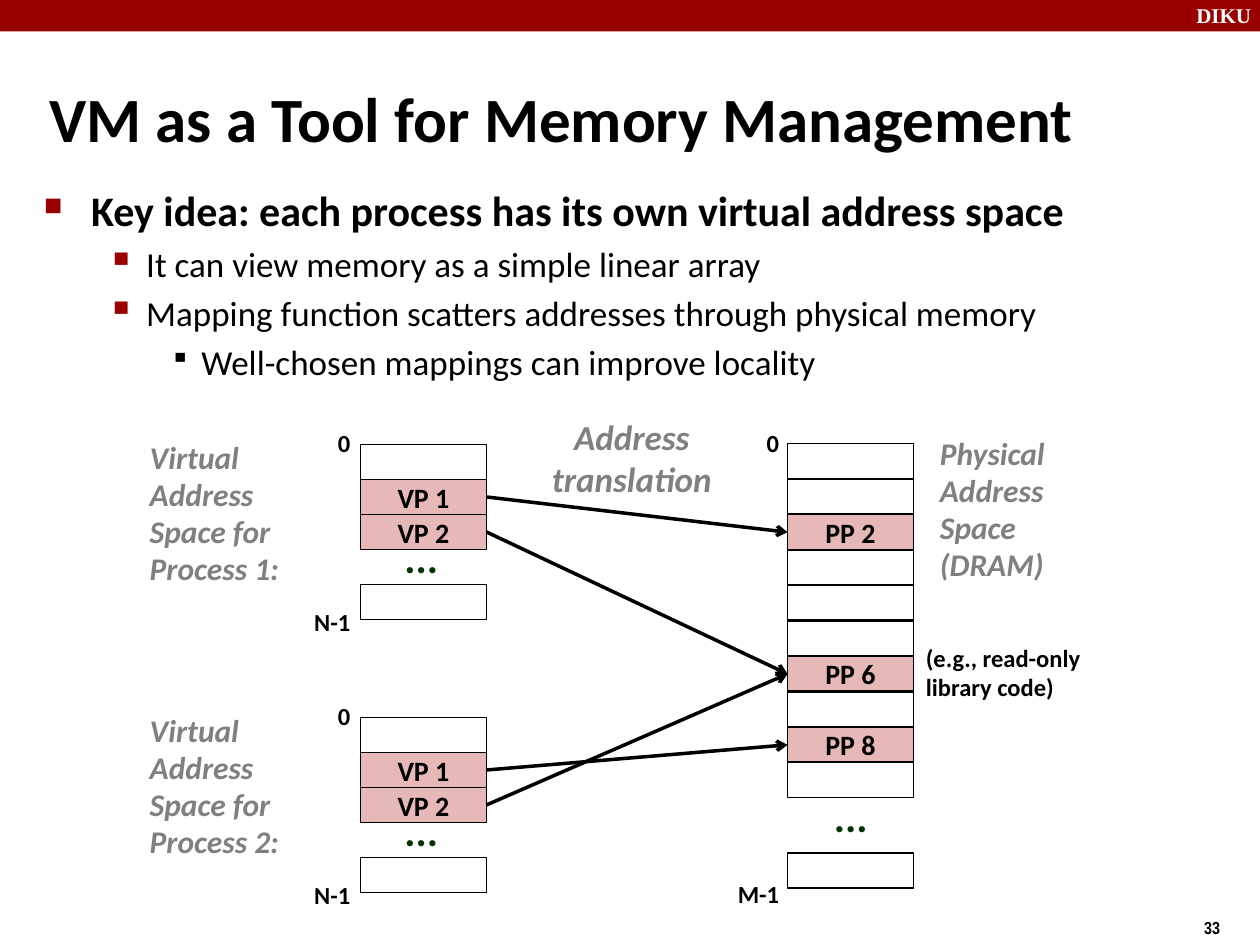
from lxml import etree
from pptx import Presentation
from pptx.dml.color import RGBColor
from pptx.enum.shapes import MSO_CONNECTOR, MSO_SHAPE
from pptx.enum.text import MSO_ANCHOR, MSO_AUTO_SIZE, PP_ALIGN
from pptx.oxml.ns import qn
from pptx.util import Pt

RECTANGLE = MSO_SHAPE.RECTANGLE
STRAIGHT = MSO_CONNECTOR.STRAIGHT
TOP, MIDDLE = MSO_ANCHOR.TOP, MSO_ANCHOR.MIDDLE
LEFT, CENTER = PP_ALIGN.LEFT, PP_ALIGN.CENTER
NO_AUTOFIT = MSO_AUTO_SIZE.NONE

BLACK = RGBColor(0x00, 0x00, 0x00)
WHITE = RGBColor(0xFF, 0xFF, 0xFF)
RED = RGBColor(0x99, 0x00, 0x00)
PINK = RGBColor(0xE6, 0xB9, 0xB8)
GRAY = RGBColor(0x80, 0x80, 0x80)
GREEN = RGBColor(0x00, 0x33, 0x00)

PAGE_WIDTH, PAGE_HEIGHT = 720, 540
VIRTUAL_LEFT, PHYSICAL_LEFT, PAGE_BOX_WIDTH = 206, 450, 72
VIRTUAL_PITCH, PHYSICAL_PITCH = 20, 20.25
PHYSICAL_TOP = 253.5
PROCESS_TOPS = (254, 410)
MAPPINGS = ((0, 1, 2), (0, 2, 6), (1, 2, 6), (1, 1, 8))

BULLETS = (
    ("Key idea: each process has its own virtual address space", 0),
    ("It can view memory as a simple linear array", 1),
    ("Mapping function scatters addresses through physical memory", 1),
    ("Well-chosen mappings can improve locality", 2),
)
BULLET_LEVELS = (
    dict(char="■", color=RED, percent=60, margin=27, hanging=27, size=24, bold=True),
    dict(char="▪", color=RED, percent=110, margin=58.5, hanging=22.5, size=20, bold=False),
    dict(char="▪", color=BLACK, percent=80, margin=90, hanging=18, size=20, bold=False),
)


def write(frame, text, size=14, color=BLACK, font="Calibri", bold=True, italic=False,
          align=LEFT, anchor=TOP, wrap=False, spacing=None):
    frame.auto_size = NO_AUTOFIT
    frame.word_wrap = wrap
    frame.vertical_anchor = anchor
    frame.margin_left = frame.margin_right = Pt(7.2)
    frame.margin_top = frame.margin_bottom = Pt(3.6)
    for index, line in enumerate(text.split("\n")):
        paragraph = frame.paragraphs[0] if index == 0 else frame.add_paragraph()
        paragraph.alignment = align
        if spacing:
            paragraph.line_spacing = spacing
        run = paragraph.add_run()
        run.text = line
        run.font.name = font
        run.font.size = Pt(size)
        run.font.bold = bold
        run.font.italic = italic
        run.font.color.rgb = color


def add_label(slide, text, left, top, width, height, **text_format):
    label = slide.shapes.add_textbox(Pt(left), Pt(top), Pt(width), Pt(height))
    write(label.text_frame, text, **text_format)
    return label


def add_box(slide, left, top, width, height, fill=None, line=None):
    box = slide.shapes.add_shape(RECTANGLE, Pt(left), Pt(top), Pt(width), Pt(height))
    box.shadow.inherit = False
    if fill is None:
        box.fill.background()
    else:
        box.fill.solid()
        box.fill.fore_color.rgb = fill
    if line is None:
        box.line.fill.background()
    else:
        box.line.color.rgb = line
        box.line.width = Pt(1)
    return box


def add_page(slide, left, top, name=None):
    page = add_box(slide, left, top, PAGE_BOX_WIDTH, 20, PINK if name else None, BLACK)
    if name:
        write(page.text_frame, name, size=16, align=CENTER, anchor=MIDDLE, wrap=True)


def add_ellipsis(slide, left, top):
    add_label(slide, "...", left, top, 33, 36, size=24, color=GREEN, spacing=0.88)


def add_arrow(slide, start_x, start_y, end_x, end_y):
    arrow = slide.shapes.add_connector(STRAIGHT, Pt(start_x), Pt(start_y), Pt(end_x), Pt(end_y))
    arrow.line.color.rgb = BLACK
    arrow.line.width = Pt(2)
    etree.SubElement(arrow.line._get_or_add_ln(), qn("a:tailEnd"), type="arrow")
    etree.SubElement(arrow._element.spPr, qn("a:effectLst"))


def set_bullet(paragraph, char, color, percent, margin, hanging):
    properties = paragraph._p.get_or_add_pPr()
    properties.set("marL", str(Pt(margin)))
    properties.set("indent", str(-Pt(hanging)))
    bullet_color = etree.SubElement(properties, qn("a:buClr"))
    etree.SubElement(bullet_color, qn("a:srgbClr"), val=str(color))
    etree.SubElement(properties, qn("a:buSzPct"), val=str(percent * 1000))
    etree.SubElement(properties, qn("a:buChar"), char=char)


def add_bullets(slide):
    text = "\n".join(line for line, level in BULLETS)
    body = add_label(slide, text, 18, 102, 618, 99, wrap=True)
    for index, (paragraph, (line, level)) in enumerate(zip(body.text_frame.paragraphs, BULLETS)):
        style = dict(BULLET_LEVELS[level])
        run_font = paragraph.runs[0].font
        run_font.size = Pt(style.pop("size"))
        run_font.bold = style.pop("bold")
        paragraph.level = level
        if index:
            paragraph.space_before = Pt(4)
        set_bullet(paragraph, **style)


def add_virtual_space(slide, number, top):
    add_label(slide, f"Virtual Address Space for Process {number}:", 78.5, top - 6.3, 108, 92,
              size=18, color=GRAY, italic=True, wrap=True, spacing=0.98)
    add_label(slide, "0", 186, top - 12, 21.5, 24, spacing=0.98)
    add_label(slide, "N-1", 172.5, top + 90.3, 35.5, 24, spacing=0.98)
    for row, name in ((0, None), (1, "VP 1"), (2, "VP 2"), (4, None)):
        add_page(slide, VIRTUAL_LEFT, top + row * VIRTUAL_PITCH, name)
    add_ellipsis(slide, 224, top + 50)


def add_physical_space(slide):
    add_label(slide, "Physical\nAddress\nSpace (DRAM)", 530, 245.5, 84, 92,
              size=18, color=GRAY, italic=True, wrap=True, spacing=0.98)
    add_label(slide, "0", 431, 242, 21.5, 24, spacing=0.98)
    add_label(slide, "M-1", 414.5, 499.5, 38, 24, spacing=0.98)
    add_label(slide, "(e.g., read-only\nlibrary code)", 522, 365, 114, 40, wrap=True, spacing=0.98)
    shared_pages = {target for process, source, target in MAPPINGS}
    for row in range(10):
        name = f"PP {row}" if row in shared_pages else None
        add_page(slide, PHYSICAL_LEFT, PHYSICAL_TOP + row * PHYSICAL_PITCH, name)
    add_page(slide, PHYSICAL_LEFT, 487.5)
    add_ellipsis(slide, 469.5, 452)


def add_mappings(slide):
    for process, source, target in MAPPINGS:
        add_arrow(slide, VIRTUAL_LEFT + PAGE_BOX_WIDTH,
                  PROCESS_TOPS[process] + (source + 0.5) * VIRTUAL_PITCH,
                  PHYSICAL_LEFT, PHYSICAL_TOP + (target + 0.5) * PHYSICAL_PITCH)
    add_label(slide, "Address\ntranslation", 308, 234, 106, 55.5,
              size=20, color=GRAY, italic=True, align=CENTER)


def add_title(slide, text):
    title = slide.shapes.title
    title.left, title.top, title.width, title.height = Pt(21), Pt(44.5), Pt(678), Pt(45.5)
    write(title.text_frame, text, size=36, anchor=MIDDLE, wrap=True)


def main():
    presentation = Presentation()
    presentation.slide_width = Pt(PAGE_WIDTH)
    presentation.slide_height = Pt(PAGE_HEIGHT)
    slide = presentation.slides.add_slide(presentation.slide_layouts[5])
    add_box(slide, 0, 0, PAGE_WIDTH, 18, RED)
    add_label(slide, "DIKU", 676.5, -2, 48, 21.5, size=12, color=WHITE, font="Times New Roman")
    add_label(slide, "33", 681, 520.5, 54, 19.5, size=10, font="Arial Narrow")
    add_title(slide, "VM as a Tool for Memory Management")
    add_bullets(slide)
    for number, top in enumerate(PROCESS_TOPS, 1):
        add_virtual_space(slide, number, top)
    add_physical_space(slide)
    add_mappings(slide)
    presentation.save("out.pptx")


if __name__ == "__main__":
    main()
